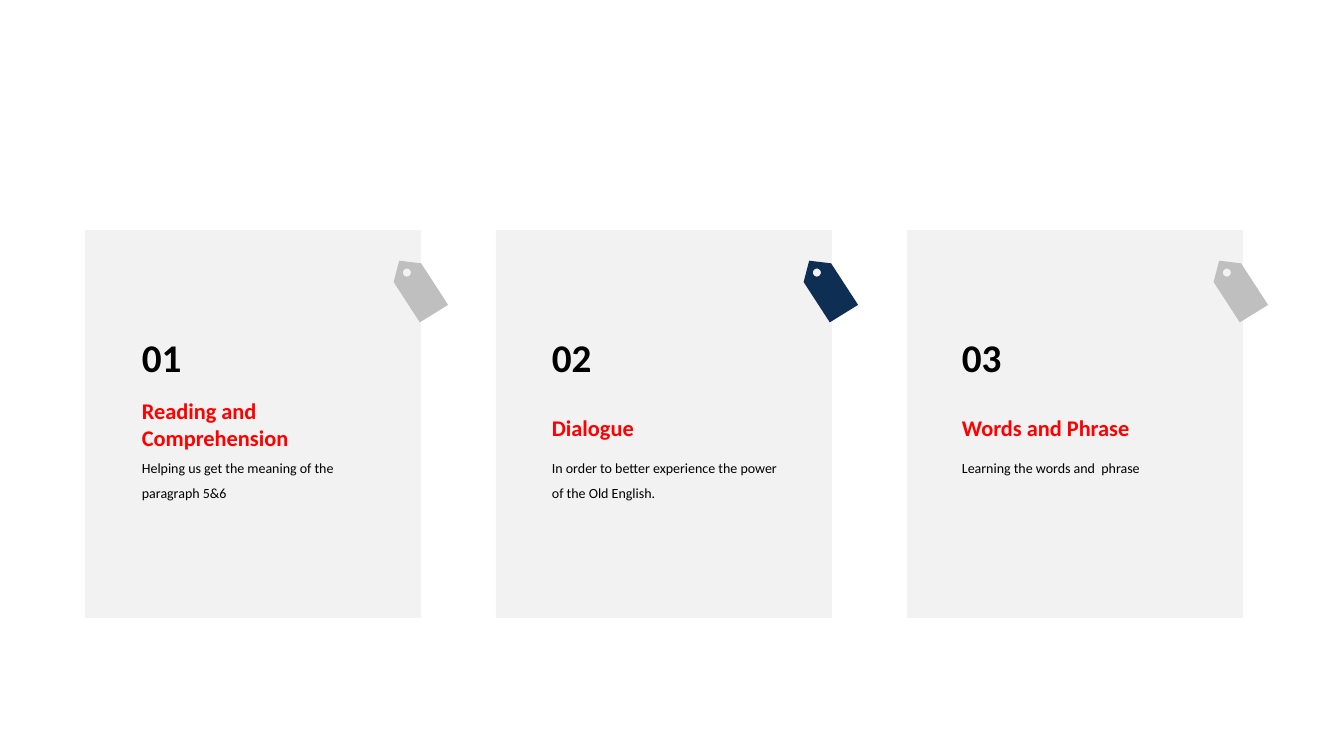
import math

import lxml.etree
import pptx
import pptx.dml.color
import pptx.enum.shapes
import pptx.enum.text
import pptx.oxml.ns
import pptx.util

RGBColor = pptx.dml.color.RGBColor
ANCHOR = pptx.enum.text.MSO_ANCHOR
BLACK = RGBColor(0x00, 0x00, 0x00)
RED = RGBColor(0xFF, 0x00, 0x00)
GRAY = RGBColor(0x80, 0x80, 0x80)
SILVER = RGBColor(0xBF, 0xBF, 0xBF)
NAVY = RGBColor(0x0E, 0x2F, 0x53)

EMU_PER_PX = 914400 / 100.8
FONT = "Calibri"

# Tag outline and hole, in px within its box before turning
TAG_CORNERS = [(1, 2), (23, 0), (58, 35), (34, 58), (0, 24)]
HOLE_X, HOLE_Y, HOLE_RADIUS, HOLE_SIDES = 11, 12, 4, 32
TAG_TURN = 12


def px(length):
    return pptx.util.Emu(round(length * EMU_PER_PX))


class CardSlide:
    def __init__(self, deck):
        self.slide = deck.slides.add_slide(deck.slide_layouts[6])
        self.shapes = self.slide.shapes

    def panel(self, left, top, width, height):
        panel = self.shapes.add_shape(
            pptx.enum.shapes.MSO_SHAPE.RECTANGLE,
            px(left), px(top), px(width), px(height))
        self.paint(panel, GRAY)
        color = panel.fill._xPr.find(".//" + pptx.oxml.ns.qn("a:srgbClr"))
        lxml.etree.SubElement(color, pptx.oxml.ns.qn("a:alpha"), val="10000")

    def tag(self, left, top, color):
        angles = [2 * math.pi * i / HOLE_SIDES for i in range(HOLE_SIDES)]
        hole = [(HOLE_X + HOLE_RADIUS * math.cos(a),
                 HOLE_Y - HOLE_RADIUS * math.sin(a)) for a in angles]
        outline, cutout = ([(px(left + x), px(top + y)) for x, y in points]
                           for points in (TAG_CORNERS, hole))
        builder = self.shapes.build_freeform(*outline[0], scale=1.0)
        builder.add_line_segments(outline[1:], close=True)
        builder.move_to(*cutout[0])
        builder.add_line_segments(cutout[1:], close=True)
        tag = builder.convert_to_shape()
        tag.rotation = TAG_TURN
        self.paint(tag, color)

    def paint(self, shape, color):
        shape.shadow.inherit = False
        shape.fill.solid()
        shape.fill.fore_color.rgb = color
        shape.line.fill.background()

    def text(self, box, words, size, color=BLACK, bold=False,
             anchor=ANCHOR.MIDDLE, spacing=1.0):
        frame = self.shapes.add_textbox(*map(px, box)).text_frame
        frame.word_wrap = True
        frame.auto_size = pptx.enum.text.MSO_AUTO_SIZE.SHAPE_TO_FIT_TEXT
        frame.vertical_anchor = anchor
        paragraph = frame.paragraphs[0]
        paragraph.line_spacing = spacing
        run = paragraph.add_run()
        run.text = words
        run.font.name = FONT
        run.font.size = pptx.util.Pt(size)
        run.font.bold = bold
        run.font.color.rgb = color


# Heading, its top, width and height; description and its height; tag colour
CARDS = [
    ("Reading and Comprehension", (392, 269, 65),
     "Helping us get the meaning of the paragraph 5&6", 58, SILVER),
    ("Dialogue", (409, 258, 37),
     "In order to better experience the power of the Old English.", 58, NAVY),
    ("Words and Phrase", (409, 258, 37),
     "Learning the words and  phrase", 33, SILVER),
]


def main():
    deck = pptx.Presentation()
    deck.slide_width, deck.slide_height = px(1344), px(756)
    page = CardSlide(deck)

    for index, (heading, place, description, height, color) in enumerate(CARDS):
        # Panel with its tag
        page.panel(85 + 411 * index, 230, 336, 388)
        page.tag(392 + 410 * index, 264, color)

        # Description, heading and number
        left = 132 + 410 * index
        top, width, heading_height = place
        page.text((left, 446, 258, height), description, 10,
                  anchor=ANCHOR.TOP, spacing=1.5)
        page.text((left, top, width, heading_height), heading, 16, RED, True)
        page.text((left, 328, 258, 57), f"{index + 1:02}", 28, bold=True)

    deck.save("out.pptx")


if __name__ == "__main__":
    main()
